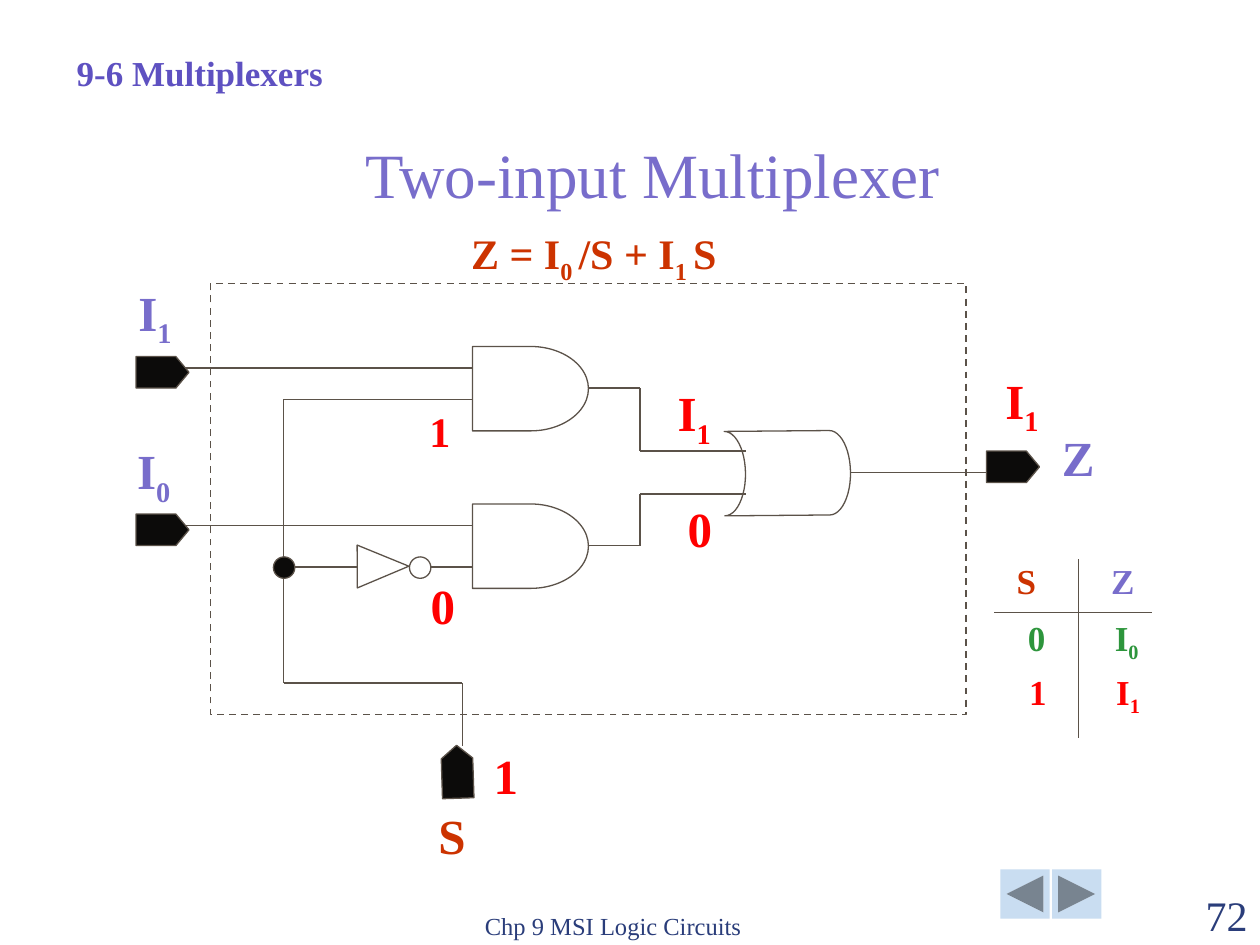
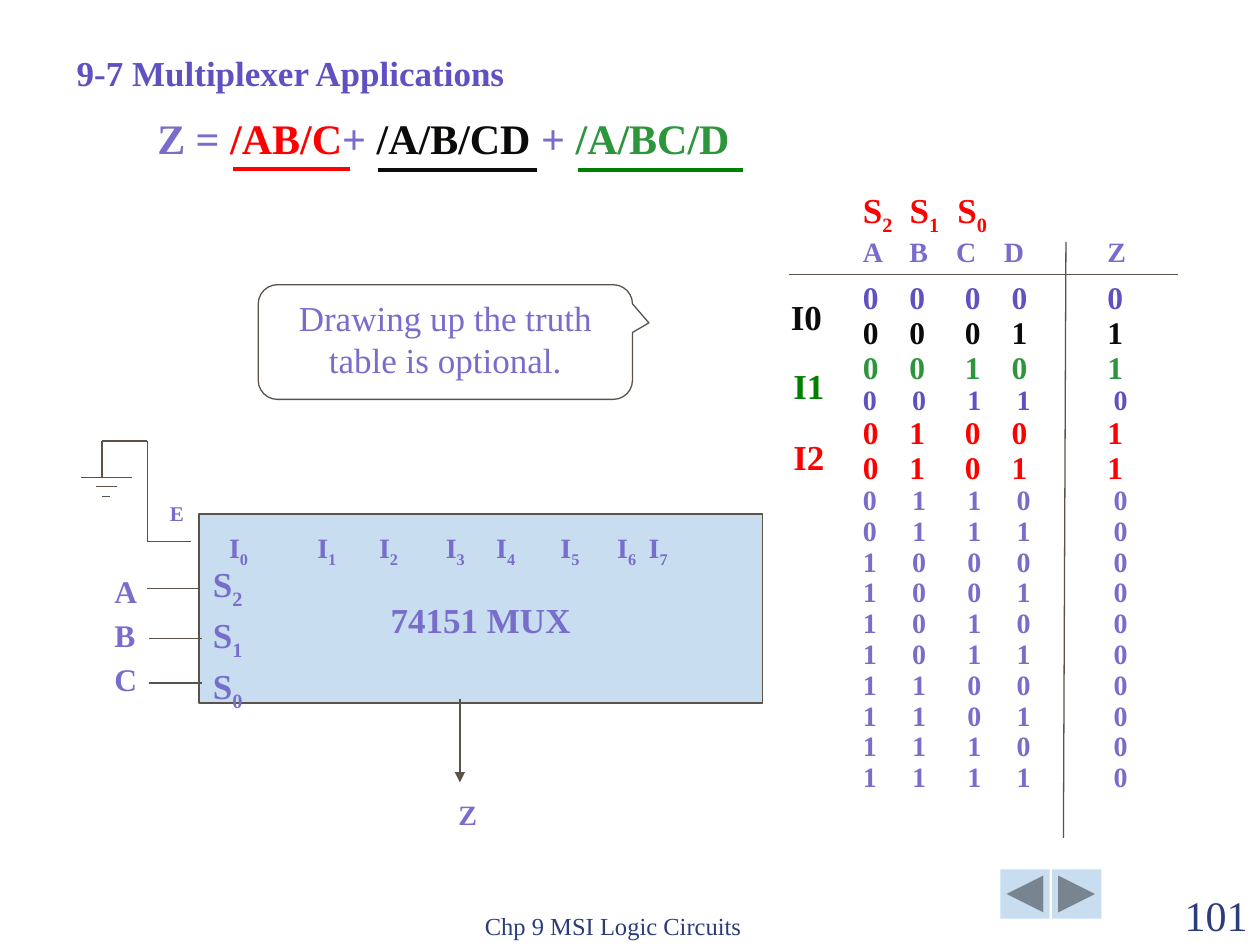
from dataclasses import dataclass
from itertools import pairwise, product
from typing import NamedTuple, Optional

from lxml.etree import SubElement
from pptx import Presentation
from pptx.dml.color import RGBColor
from pptx.enum.dml import MSO_LINE
from pptx.enum.shapes import MSO_CONNECTOR, MSO_SHAPE
from pptx.enum.text import MSO_ANCHOR, PP_ALIGN
from pptx.oxml.ns import qn
from pptx.util import Pt

PX = 9144  # one hundredth of an inch
FONT = "Times New Roman"

VIOLET = RGBColor(0x78, 0x6D, 0xCB)
INDIGO = RGBColor(0x5E, 0x51, 0xC1)
NAVY = RGBColor(0x2A, 0x3D, 0x7A)
RUST = RGBColor(0xCC, 0x33, 0x00)
RED = RGBColor(0xFF, 0x00, 0x00)
GREEN = RGBColor(0x2D, 0x95, 0x3C)
DARK_GREEN = RGBColor(0x00, 0x80, 0x00)
BLACK = RGBColor(0x0C, 0x0B, 0x0A)
BROWN = RGBColor(0x5B, 0x52, 0x49)
PALE_BLUE = RGBColor(0xC9, 0xDD, 0xF1)


class Area(NamedTuple):
    left: int
    top: int
    width: int
    height: int


class Point(NamedTuple):
    x: int
    y: int


@dataclass(frozen=True)
class Style:
    size: int
    color: RGBColor
    bold: bool = True


class Span(NamedTuple):
    text: str
    style: Style
    lowered: bool = False


class Line(NamedTuple):
    spans: list[Span]
    tabs: tuple[int, ...] = ()


@dataclass(frozen=True)
class Setting:
    align: PP_ALIGN = PP_ALIGN.LEFT
    anchor: MSO_ANCHOR = MSO_ANCHOR.TOP
    wrap: bool = True
    line_spacing: Optional[float] = None
    gap_percent: int = 50


class Label(NamedTuple):
    text: str
    area: Area
    style: Style


PLAIN = Setting()
UNWRAPPED = Setting(wrap=False)
CENTERED = Setting(PP_ALIGN.CENTER)


def line_of(text: str, style: Style, tabs: tuple[int, ...] = ()) -> Line:
    """Read "_" as: lower the next character, with a space that follows it."""
    head, *parts = text.split("_")
    spans = [Span(head, style)]
    for part in parts:
        cut = 2 if part[1:2] == " " else 1
        spans += [Span(part[:cut], style, True), Span(part[cut:], style)]
    return Line([span for span in spans if span.text], tabs)


def write(frame, lines: list[Line], setting: Setting = PLAIN) -> None:
    frame.word_wrap = setting.wrap
    frame.vertical_anchor = setting.anchor
    for index, line in enumerate(lines):
        para = frame.add_paragraph() if index else frame.paragraphs[0]
        para.alignment = setting.align
        if setting.line_spacing:
            para.line_spacing = setting.line_spacing
        properties = para._p.get_or_add_pPr()
        if index:
            before = SubElement(properties, qn("a:spcBef"))
            SubElement(before, qn("a:spcPct"), val=str(setting.gap_percent * 1000))
        if line.tabs:
            stops = SubElement(properties, qn("a:tabLst"))
            for stop in line.tabs:
                SubElement(stops, qn("a:tab"), pos=str(stop * PX), algn="l")
        for span in line.spans:
            run = para.add_run()
            run.text = span.text
            run.font.name = FONT
            run.font.size = Pt(span.style.size)
            run.font.bold = span.style.bold
            run.font.color.rgb = span.style.color
            if span.lowered:
                run.font._element.set("baseline", "-25000")


def add_text(page, area: Area, lines: list[Line], setting: Setting = PLAIN) -> None:
    box = page.shapes.add_textbox(*(length * PX for length in area))
    write(box.text_frame, lines, setting)


def add_labels(page, labels: list[Label], setting: Setting = PLAIN) -> None:
    for label in labels:
        add_text(page, label.area, [line_of(label.text, label.style)], setting)


def add_figure(page, kind: MSO_SHAPE, area: Area, fill: Optional[RGBColor] = None,
               outline: float = 0.75, rotation: float = 0,
               adjustments: tuple[float, ...] = ()):
    shape = page.shapes.add_shape(kind, *(length * PX for length in area))
    shape.shadow.inherit = False
    shape.rotation = rotation
    for index, value in enumerate(adjustments):
        shape.adjustments[index] = value
    if fill is None:
        shape.fill.background()
    else:
        shape.fill.solid()
        shape.fill.fore_color.rgb = fill
    if outline:
        shape.line.color.rgb = BROWN
        shape.line.width = Pt(outline)
    else:
        shape.line.fill.background()
    return shape


def add_wire(page, *corners: tuple[int, int], color: RGBColor = BROWN,
             width: float = 0.75, arrow: bool = False) -> None:
    """Join the corners in turn with straight connectors."""
    for start, end in pairwise(Point(*corner) for corner in corners):
        wire = page.shapes.add_connector(
            MSO_CONNECTOR.STRAIGHT, start.x * PX, start.y * PX, end.x * PX, end.y * PX)
        wire.line.color.rgb = color
        wire.line.width = Pt(width)
        if arrow:
            SubElement(wire.line._get_or_add_ln(), qn("a:tailEnd"), type="triangle")
        SubElement(wire._element.spPr, qn("a:effectLst"))


def add_page(deck, section: str, number: int):
    """Start a page with its section heading, buttons, footer and number."""
    page = deck.slides.add_slide(deck.slide_layouts[6])
    buttons = (MSO_SHAPE.ACTION_BUTTON_BACK_OR_PREVIOUS,
               MSO_SHAPE.ACTION_BUTTON_FORWARD_OR_NEXT)
    for index, kind in enumerate(buttons):
        add_figure(page, kind, Area(794 + 41 * index, 690, 39, 39), PALE_BLUE, outline=0)
    add_text(page, Area(375, 701, 317, 50),
             [line_of("Chp 9 MSI Logic Circuits", Style(14, NAVY, False))],
             Setting(anchor=MSO_ANCHOR.BOTTOM))
    add_text(page, Area(900, 701, 100, 50), [line_of(str(number), Style(24, NAVY, False))],
             Setting(PP_ALIGN.RIGHT, MSO_ANCHOR.BOTTOM))
    add_text(page, Area(51, 36, 400, 43), [line_of(section, Style(20, INDIGO))])
    return page


def add_circuit(page) -> None:
    for top in (400, 275):
        add_figure(page, MSO_SHAPE.FLOWCHART_DELAY, Area(375, top, 92, 67))
    add_figure(page, MSO_SHAPE.FLOWCHART_STORED_DATA, Area(575, 342, 100, 67), rotation=179.5)
    add_figure(page, MSO_SHAPE.FLOWCHART_EXTRACT, Area(287, 429, 34, 41), rotation=89.7)
    add_figure(page, MSO_SHAPE.OVAL, Area(325, 442, 17, 17))

    add_wire(page, (283, 450), (225, 450))
    add_wire(page, (342, 450), (375, 450))
    add_wire(page, (467, 308), (508, 308), (508, 358), (592, 358))
    add_wire(page, (467, 433), (508, 433), (508, 392), (592, 392))
    add_wire(page, (675, 375), (792, 375))
    for y in (292, 417):
        add_wire(page, (142, y), (375, y))
    add_wire(page, (375, 317), (225, 317), (225, 542), (367, 542), (367, 592))

    border = add_figure(page, MSO_SHAPE.RECTANGLE, Area(167, 225, 600, 342), outline=1)
    border.line.dash_style = MSO_LINE.DASH
    for left, top, rotation in ((108, 283, 0), (108, 408, 0), (342, 600, 268.2), (783, 358, 0)):
        add_figure(page, MSO_SHAPE.PENTAGON, Area(left, top, 42, 25), BLACK,
                   rotation=rotation, adjustments=(0.417,))
    add_figure(page, MSO_SHAPE.OVAL, Area(217, 442, 17, 17), BLACK)


def build_two_input_page(deck) -> None:
    page = add_page(deck, "9-6 Multiplexers", 72)
    add_text(page, Area(93, 115, 850, 56),
             [line_of("Two-input Multiplexer", Style(36, VIOLET, False))],
             Setting(PP_ALIGN.CENTER, MSO_ANCHOR.BOTTOM, line_spacing=0.7))
    add_circuit(page)

    pin, signal = Style(28, VIOLET), Style(28, RED)
    add_labels(page, [
        Label("I_1", Area(100, 219, 48, 57), pin),
        Label("I_0", Area(99, 345, 48, 57), pin),
        Label("S", Area(338, 634, 45, 57), Style(28, RUST)),
        Label("Z", Area(833, 334, 46, 57), pin),
        Label("0", Area(332, 452, 40, 57), signal),
        Label("1", Area(382, 587, 40, 57), signal),
        Label("1", Area(331, 317, 37, 50), Style(24, RED)),
        Label("0", Area(536, 391, 40, 57), signal),
        Label("I_1", Area(528, 299, 48, 57), signal),
        Label("I_1", Area(788, 289, 48, 57), signal),
        Label("S", Area(797, 439, 36, 43), Style(20, RUST)),
        Label("Z", Area(872, 439, 39, 43), Style(20, VIOLET)),
    ], UNWRAPPED)
    add_labels(page, [Label("Z = I_0 /S + I_1 S", Area(364, 176, 228, 50), Style(24, RUST))])

    add_wire(page, (789, 486), (914, 486))
    add_wire(page, (856, 444), (856, 586))
    for text, left, top, color in (("0\tI_0", 806, 484, GREEN), ("1\tI_1", 807, 527, RED)):
        add_text(page, Area(left, top, 120, 43), [line_of(text, Style(20, color), (69,))])


def add_multiplexer(page) -> None:
    chip = add_figure(page, MSO_SHAPE.RECTANGLE, Area(158, 408, 447, 150), PALE_BLUE)
    write(chip.text_frame, [line_of("74151 MUX", Style(20, VIOLET))],
          Setting(PP_ALIGN.CENTER, MSO_ANCHOR.MIDDLE))
    chip.text_frame.margin_top = 23 * PX
    inputs = "\t".join(f"I_{index}" for index in range(8))
    add_text(page, Area(172, 416, 454, 37),
             [line_of(inputs, Style(16, VIOLET), (70, 119, 172, 212, 263, 308, 333))])

    add_wire(page, (152, 430), (117, 430), (117, 350), (81, 350), (81, 379))
    for left, right, y in ((64, 105, 379), (76, 93, 386), (81, 87, 394)):
        add_wire(page, (left, y), (right, y))
    for left, right, y in ((117, 158, 467), (118, 160, 507), (118, 160, 542)):
        add_wire(page, (right, y), (left, y))
    add_wire(page, (365, 555), (365, 621), width=1.5, arrow=True)

    add_labels(page, [Label("Z", Area(354, 628, 35, 37), Style(16, VIOLET)),
                      Label("E", Area(125, 392, 31, 30), Style(12, VIOLET))], UNWRAPPED)
    add_text(page, Area(81, 449, 38, 112),
             [line_of(name, Style(18, VIOLET)) for name in "ABC"],
             Setting(wrap=False, gap_percent=20))
    add_text(page, Area(159, 448, 45, 113),
             [line_of(f"S_{index}", Style(20, VIOLET)) for index in (2, 1, 0)],
             Setting(line_spacing=0.7))


def add_truth_table(page) -> None:
    add_text(page, Area(675, 145, 178, 43),
             [line_of("S_2\tS_1\tS_0", Style(20, RED), (37, 75))])
    add_text(page, Area(675, 181, 260, 37),
             [line_of("A\tB\tC\tD\tZ", Style(16, VIOLET), (37, 74, 112, 194))])
    add_wire(page, (626, 218), (935, 218))
    add_wire(page, (846, 192), (844, 665))

    marked = {0: Style(18, INDIGO), 1: Style(18, BLACK), 2: Style(18, GREEN),
              3: Style(16, INDIGO), 4: Style(18, RED), 5: Style(18, RED)}
    tabs_by_size = {18: (37, 81, 118, 194), 16: (39, 83, 122, 199)}
    minterms = {1, 2, 4, 5}
    rows = []
    for index, bits in enumerate(product("01", repeat=4)):
        style = marked.get(index, Style(16, VIOLET))
        output = "1" if index in minterms else "0"
        rows.append(line_of("\t".join((*bits, output)), style, tabs_by_size[style.size]))
    add_text(page, Area(675, 229, 253, 440), rows, Setting(line_spacing=0.5))

    add_labels(page, [Label("I0", Area(603, 230, 74, 43), Style(20, BLACK)),
                      Label("I1", Area(605, 284, 74, 43), Style(20, DARK_GREEN)),
                      Label("I2", Area(605, 341, 74, 43), Style(20, RED))], CENTERED)


def build_applications_page(deck) -> None:
    page = add_page(deck, "9-7 Multiplexer Applications", 101)
    add_multiplexer(page)
    add_truth_table(page)

    terms = (("Z = ", VIOLET), ("/AB/C", RED), ("+ ", VIOLET),
             ("/A/B/CD", BLACK), (" + ", VIOLET), ("/A/BC/D", GREEN))
    add_text(page, Area(115, 84, 474, 50),
             [Line([Span(text, Style(24, color)) for text, color in terms])], UNWRAPPED)
    for left, right, y, color in ((185, 278, 134, RED), (300, 426, 135, BLACK),
                                  (459, 590, 135, DARK_GREEN)):
        add_wire(page, (left, y), (right, y), color=color, width=2.25)

    callout = add_figure(page, MSO_SHAPE.ROUNDED_RECTANGULAR_CALLOUT, Area(205, 226, 297, 91),
                         adjustments=(0.544, -0.167, 0.167))
    write(callout.text_frame,
          [line_of("Drawing up the truth table is optional.", Style(20, VIOLET, False))],
          CENTERED)


def main() -> None:
    deck = Presentation()
    deck.slide_width, deck.slide_height = 1000 * PX, 750 * PX
    build_two_input_page(deck)
    build_applications_page(deck)
    deck.save("out.pptx")


if __name__ == "__main__":
    main()
